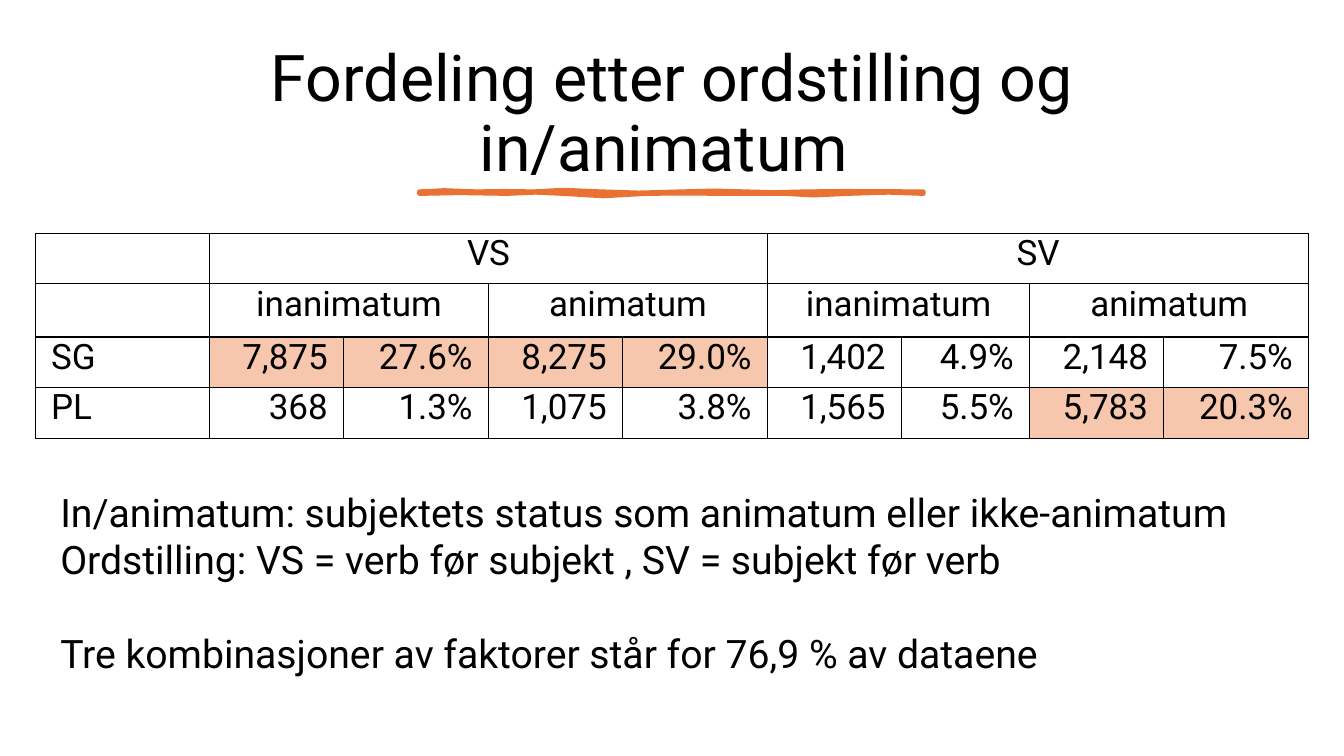
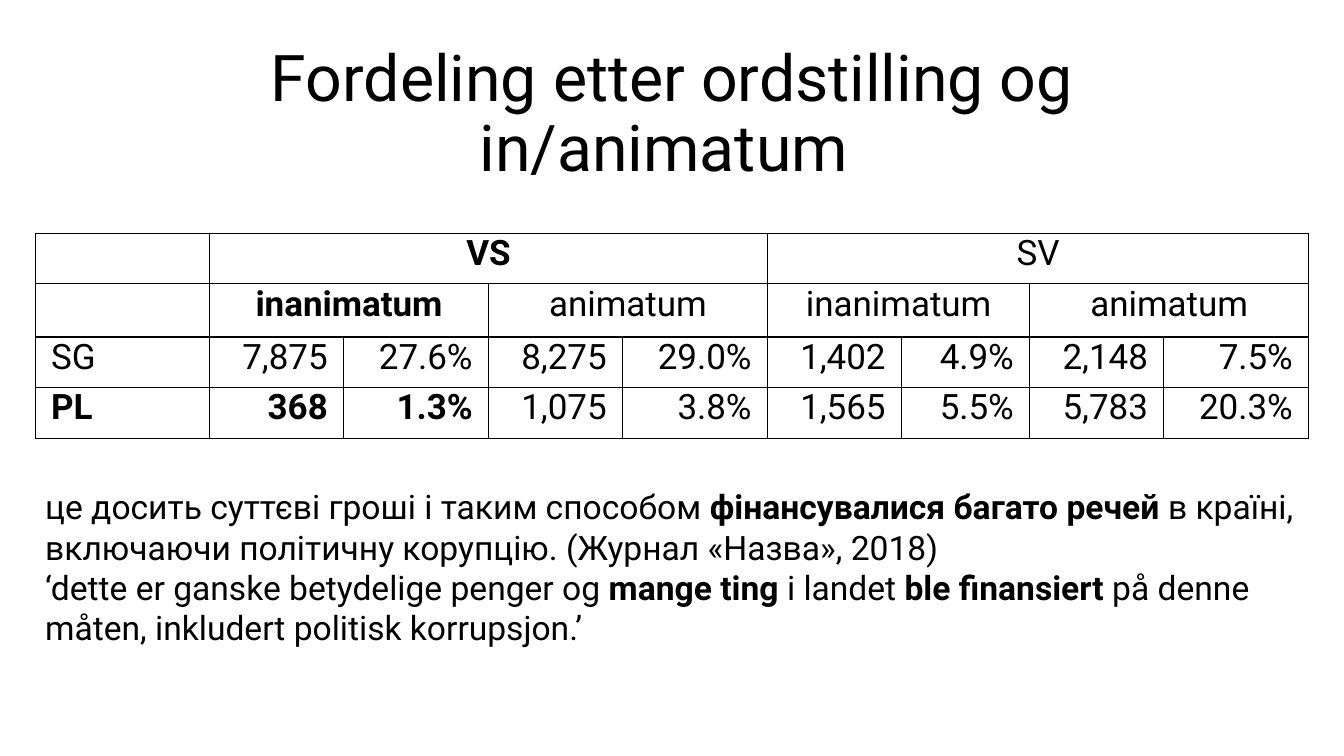
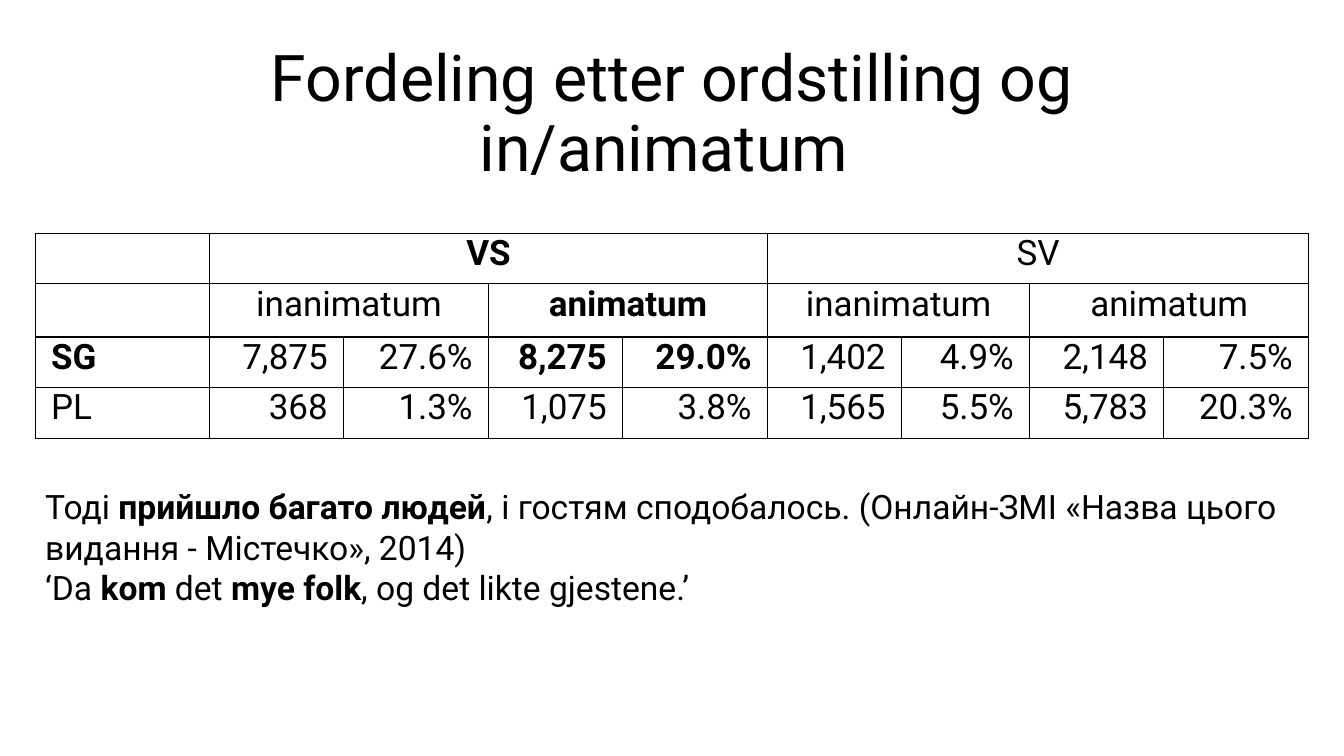
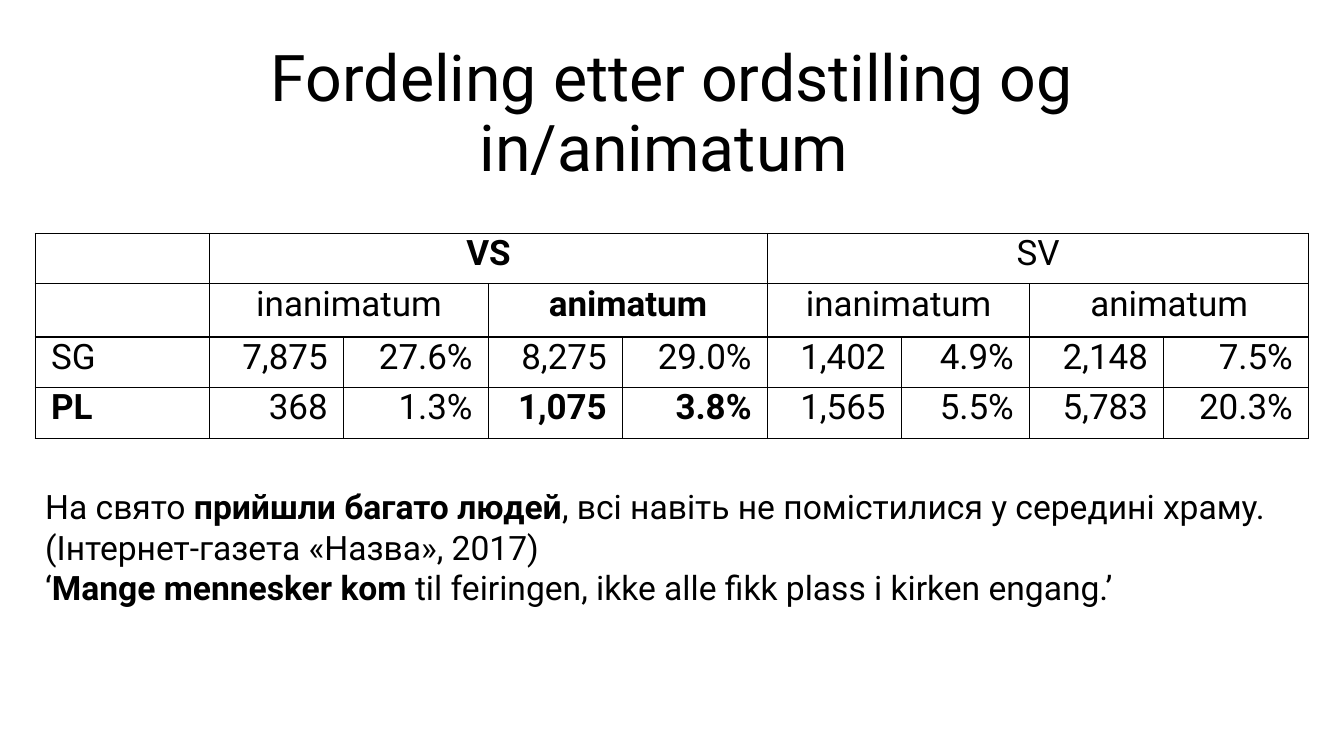
from pptx import Presentation
from pptx.dml.color import RGBColor as RGB
from pptx.enum.text import MSO_ANCHOR as ANCHOR, MSO_AUTO_SIZE as AUTO, PP_ALIGN as ALIGN
from pptx.oxml import parse_xml
from pptx.oxml.ns import nsdecls
from pptx.util import Cm, Pt

# Theme
THEME = {
    "font": "Roboto",
    "text": RGB(0x00, 0x00, 0x00),
    "accent": RGB(0xE9, 0x71, 0x32),
    "highlight": RGB(0xF6, 0xC6, 0xAD),
    "border": "000000",
    "title": Pt(46),
    "body": Pt(28),
    "example": Pt(24),
    "table": Pt(25),
}
TITLE_FRAME = {"word_wrap": True, "vertical_anchor": ANCHOR.MIDDLE}
TITLE_PARAGRAPH = {"alignment": ALIGN.CENTER, "line_spacing": 0.9}
NOTE_FRAME = {"word_wrap": True, "auto_size": AUTO.SHAPE_TO_FIT_TEXT}
CELL = {"margin_left": Cm(0.4), "margin_right": Cm(0.4), "margin_top": 0, "margin_bottom": 0}
PLAIN_TABLE = {"first_row": False, "horz_banding": False}

# Shared content
TITLE = "Fordeling etter ordstilling og in/animatum "
COLS = [4.39, 3.38, 3.65, 3.38, 3.65, 3.38, 3.23, 3.38, 3.65]
ROWS = [1.27, 1.34, 1.27, 1.28]
DATA = [
    ["", "VS", "", "", "", "SV", "", "", ""],
    ["", "inanimatum", "", "animatum", "", "inanimatum", "", "animatum", ""],
    ["SG", "7,875", "27.6%", "8,275", "29.0%", "1,402", "4.9%", "2,148", "7.5%"],
    ["PL", "368", "1.3%", "1,075", "3.8%", "1,565", "5.5%", "5,783", "20.3%"],
]
HEADER_SPANS = {0: 4, 1: 2}
SG, PL = 2, 3
INANIMATE, ANIMATE = 1, 3

# Slides: VS combination in bold (row, first column), shaded cells, notes.
# Text between ** marks is bold.
SLIDES = [
    {
        "shaded": {(SG, c) for c in range(1, 5)} | {(PL, 7), (PL, 8)},
        "underlined": True,
        "box": (1.27, 12.19, 30.81, 5.05),
        "size": THEME["body"],
        "notes": [
            "In/animatum: subjektets status som animatum eller ikke-animatum",
            "Ordstilling: VS = verb før subjekt , SV = subjekt før verb",
            "Tre kombinasjoner av faktorer står for 76,9 % av dataene",
        ],
        "gap_before_last": Pt(33),
    },
    {
        "bold": (PL, INANIMATE),
        "notes": [
            "це досить суттєві гроші і таким способом **фінансувалися багато речей **"
            "в країні, включаючи політичну корупцію. (Журнал «Назва», 2018)",
            "‘dette er ganske betydelige penger og **mange ting **i landet "
            "**ble finansiert **på denne måten, inkludert politisk korrupsjon.’",
        ],
    },
    {
        "bold": (SG, ANIMATE),
        "notes": [
            "Тоді **прийшло багато людей**, і гостям сподобалось. "
            "(Онлайн-ЗМІ «Назва цього видання - Містечко», 2014)",
            "‘Da **kom **det **mye folk**, og det likte gjestene.’",
        ],
    },
    {
        "bold": (PL, ANIMATE),
        "notes": [
            "На свято **прийшли багато людей**, всі навіть не помістилися у середині "
            "храму. (Інтернет-газета «Назва», 2017)",
            "‘**Mange mennesker kom **til feiringen, ikke alle fikk plass i kirken engang.’",
        ],
    },
]
EXAMPLE_BOX = (0.89, 12.13, 32.08, 4.5)

# Outline of the hand-drawn underline, along the top and back along the bottom
UNDERLINE = [
    (10.57, 4.83), (11.2, 4.8), (12, 4.83), (12.7, 4.82), (13.44, 4.83),
    (14.2, 4.79), (15.14, 4.83), (16.1, 4.86), (17.2, 4.83), (18, 4.81),
    (18.77, 4.83), (19.5, 4.85), (20.32, 4.83), (21.3, 4.82), (23.27, 4.83),
    (23.27, 4.88), (22.4, 4.85), (21.34, 4.88), (20.5, 4.92), (19.79, 4.88),
    (18.2, 4.88), (17.2, 4.87), (16.28, 4.88), (15.2, 4.94), (14.2, 4.88),
    (13.5, 4.85), (12.78, 4.88), (11.6, 4.86), (10.57, 4.88),
]


def set_all(obj, values):
    for name, value in values.items():
        setattr(obj, name, value)


def write(p, text, size, bold=False):
    for i, part in enumerate(text.split("**")):
        if part:
            r = p.add_run()
            r.text = part
            set_all(r.font, {"name": THEME["font"], "size": size, "bold": bold or i % 2 == 1})
            r.font.color.rgb = THEME["text"]


prs = Presentation()
set_all(prs, {"slide_width": Cm(33.87), "slide_height": Cm(19.05)})

for content in SLIDES:
    s = prs.slides.add_slide(prs.slide_layouts[6])

    # Title
    tf = s.shapes.add_textbox(Cm(1.78), Cm(1.17), Cm(30.3), Cm(3.48)).text_frame
    set_all(tf, TITLE_FRAME)
    p = tf.paragraphs[0]
    set_all(p, TITLE_PARAGRAPH)
    write(p, TITLE, THEME["title"])

    # Underline
    if content.get("underlined"):
        points = [(Cm(x), Cm(y)) for x, y in UNDERLINE]
        outline = s.shapes.build_freeform(*points[0])
        outline.add_line_segments(points[1:])
        sp = outline.convert_to_shape()
        sp.shadow.inherit = False
        sp.fill.solid()
        sp.fill.fore_color.rgb = THEME["accent"]
        sp.line.color.rgb = THEME["accent"]
        sp.line.width = Pt(3.25)

    # Bold cells: the VS header, the column header, the row label and both values
    bold = set()
    if "bold" in content:
        row, col = content["bold"]
        bold = {(0, 1), (1, col), (row, 0), (row, col), (row, col + 1)}

    # Table
    table = s.shapes.add_table(len(ROWS), len(COLS), Cm(0.89), Cm(5.88),
                               Cm(sum(COLS)), Cm(sum(ROWS))).table
    set_all(table, PLAIN_TABLE)
    for column, width in zip(table.columns, COLS):
        column.width = Cm(width)
    for table_row, height in zip(table.rows, ROWS):
        table_row.height = Cm(height)
    for r_no, values in enumerate(DATA):
        for c_no, value in enumerate(values):
            cell = table.cell(r_no, c_no)
            set_all(cell, CELL)
            for side in "LRTB":
                cell._tc.get_or_add_tcPr().append(parse_xml(
                    f'<a:ln{side} {nsdecls("a")} w="12700"><a:solidFill>'
                    f'<a:srgbClr val="{THEME["border"]}"/></a:solidFill></a:ln{side}>'))
            if (r_no, c_no) in content.get("shaded", ()):
                cell.fill.solid()
                cell.fill.fore_color.rgb = THEME["highlight"]
            else:
                cell.fill.background()
            p = cell.text_frame.paragraphs[0]
            if c_no:
                p.alignment = ALIGN.CENTER if r_no in HEADER_SPANS else ALIGN.RIGHT
            write(p, value, THEME["table"], (r_no, c_no) in bold)
    for r_no, span in HEADER_SPANS.items():
        for c_no in range(1, len(COLS), span):
            table.cell(r_no, c_no).merge(table.cell(r_no, c_no + span - 1))

    # Notes below the table
    box = content.get("box", EXAMPLE_BOX)
    tf = s.shapes.add_textbox(*[Cm(v) for v in box]).text_frame
    set_all(tf, NOTE_FRAME)
    for i, text in enumerate(content["notes"]):
        p = tf.add_paragraph() if i else tf.paragraphs[0]
        write(p, text, content.get("size", THEME["example"]))
    if "gap_before_last" in content:
        p.space_before = content["gap_before_last"]

prs.save("out.pptx")
